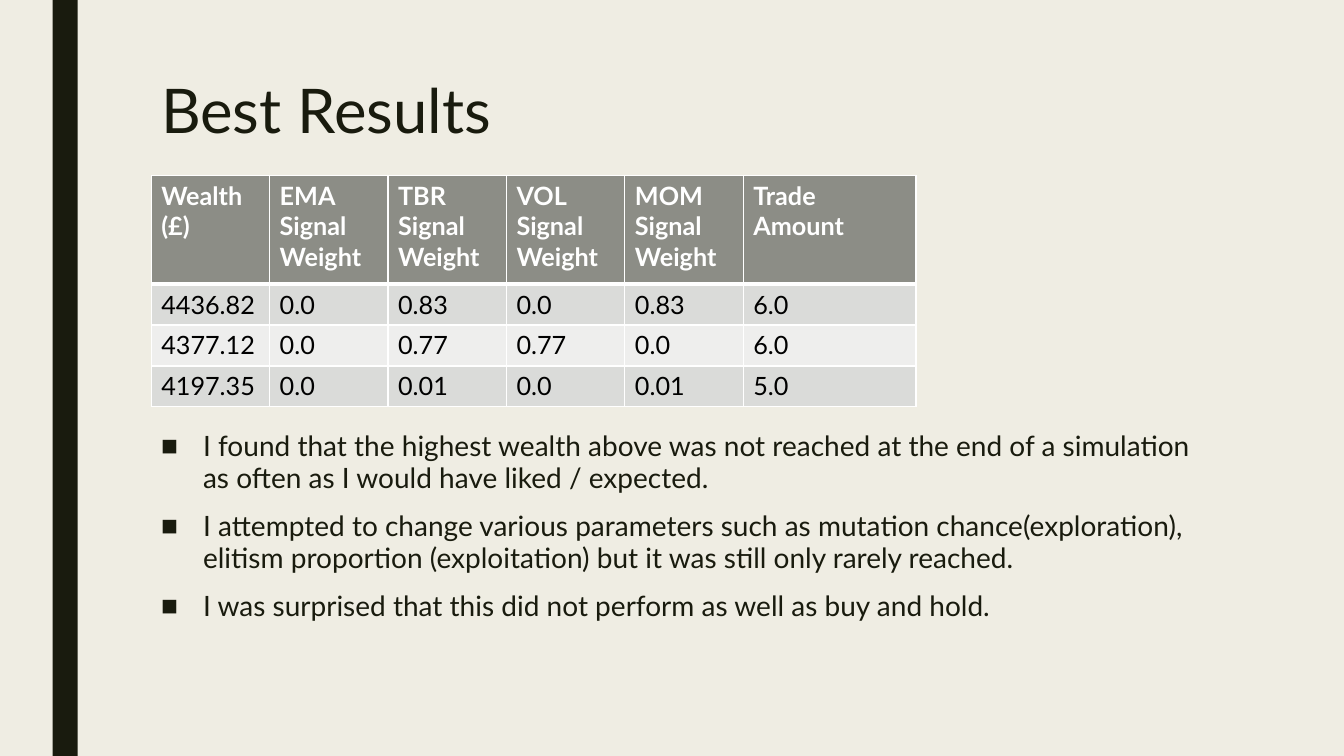
from lxml.etree import SubElement
from pptx import Presentation
from pptx.dml.color import RGBColor
from pptx.enum.shapes import MSO_SHAPE
from pptx.oxml.ns import qn
from pptx.util import Pt

INK = {
    "back": "EFEDE3", "dark": "191B0E", "head": "8C8D86", "odd": "DADBD9",
    "even": "EEEEED", "white": "FFFFFF", "black": "000000",
}


def style(para, size, tone, bold=False):
    for run in para.runs:
        run.font.name = "Lato"
        run.font.size = Pt(size)
        run.font.bold = bold
        run.font.color.rgb = RGBColor.from_string(INK[tone])


def border(cell, side, width):
    line = SubElement(cell._tc.get_or_add_tcPr(), qn("a:" + side), w=str(Pt(width)))
    fill = SubElement(line, qn("a:solidFill"))
    SubElement(fill, qn("a:srgbClr"), val=INK["white"])


deck = Presentation()
deck.slide_width, deck.slide_height = Pt(960), Pt(540)
slide = deck.slides.add_slide(deck.slide_layouts[6])
slide.background.fill.solid()
slide.background.fill.fore_color.rgb = RGBColor.from_string(INK["back"])

bar = slide.shapes.add_shape(MSO_SHAPE.RECTANGLE, Pt(37.5), Pt(0), Pt(18), Pt(540))
bar.shadow.inherit = False
bar.fill.solid()
bar.fill.fore_color.rgb = RGBColor.from_string(INK["dark"])
bar.line.fill.background()

title = slide.shapes.add_textbox(Pt(108), Pt(54), Pt(756), Pt(117)).text_frame
title.word_wrap = True
title.text = "Best Results"
title.paragraphs[0].line_spacing = 0.89
style(title.paragraphs[0], 44, "dark")

notes = [
    "I found that the highest wealth above was not reached at the end of a simulation as often as I would have liked / expected.",
    "I attempted to change various parameters such as mutation chance(exploration), elitism proportion (exploitation) but it was still only rarely reached.",
    "I was surprised that this did not perform as well as buy and hold.",
]
body = slide.shapes.add_textbox(Pt(108), Pt(304.5), Pt(756), Pt(282)).text_frame
body.word_wrap = True
body.text = "\n".join(notes)
for para in body.paragraphs:
    para.line_spacing = 0.94
    para.space_before, para.space_after = Pt(10), Pt(2)
    style(para, 20, "dark")
    props = para._p.get_or_add_pPr()
    props.set("marL", str(Pt(30)))
    props.set("indent", str(Pt(-30)))
    SubElement(props, qn("a:buFont"), typeface="Arial")
    SubElement(props, qn("a:buChar"), char="■")

rows = [
    ["Wealth (£)", "EMA Signal Weight", "TBR Signal Weight",
     "VOL Signal Weight", "MOM Signal Weight", "Trade Amount"],
    ["4436.82", "0.0", "0.83", "0.0", "0.83", "6.0"],
    ["4377.12", "0.0", "0.77", "0.77", "0.0", "6.0"],
    ["4197.35", "0.0", "0.01", "0.0", "0.01", "5.0"],
]
widths = [84.6] * 5 + [123.4]
heights = [77.5] + [29.2] * 3
fills = ["head", "odd", "even", "odd"]
table = slide.shapes.add_table(
    len(rows), len(widths), Pt(108), Pt(125.5), Pt(sum(widths)), Pt(sum(heights))
).table
for col, width in zip(table.columns, widths):
    col.width = Pt(width)
for r, row in enumerate(rows):
    table.rows[r].height = Pt(heights[r])
    for c, text in enumerate(row):
        cell = table.cell(r, c)
        cell.text_frame.text = text
        style(cell.text_frame.paragraphs[0], 18, "black" if r else "white", r == 0)
        for side in ("lnL", "lnR", "lnT", "lnB"):
            thick = (r, side) in ((0, "lnB"), (1, "lnT"))
            border(cell, side, 3 if thick else 1)
        cell.fill.solid()
        cell.fill.fore_color.rgb = RGBColor.from_string(INK[fills[r]])

deck.save("out.pptx")
